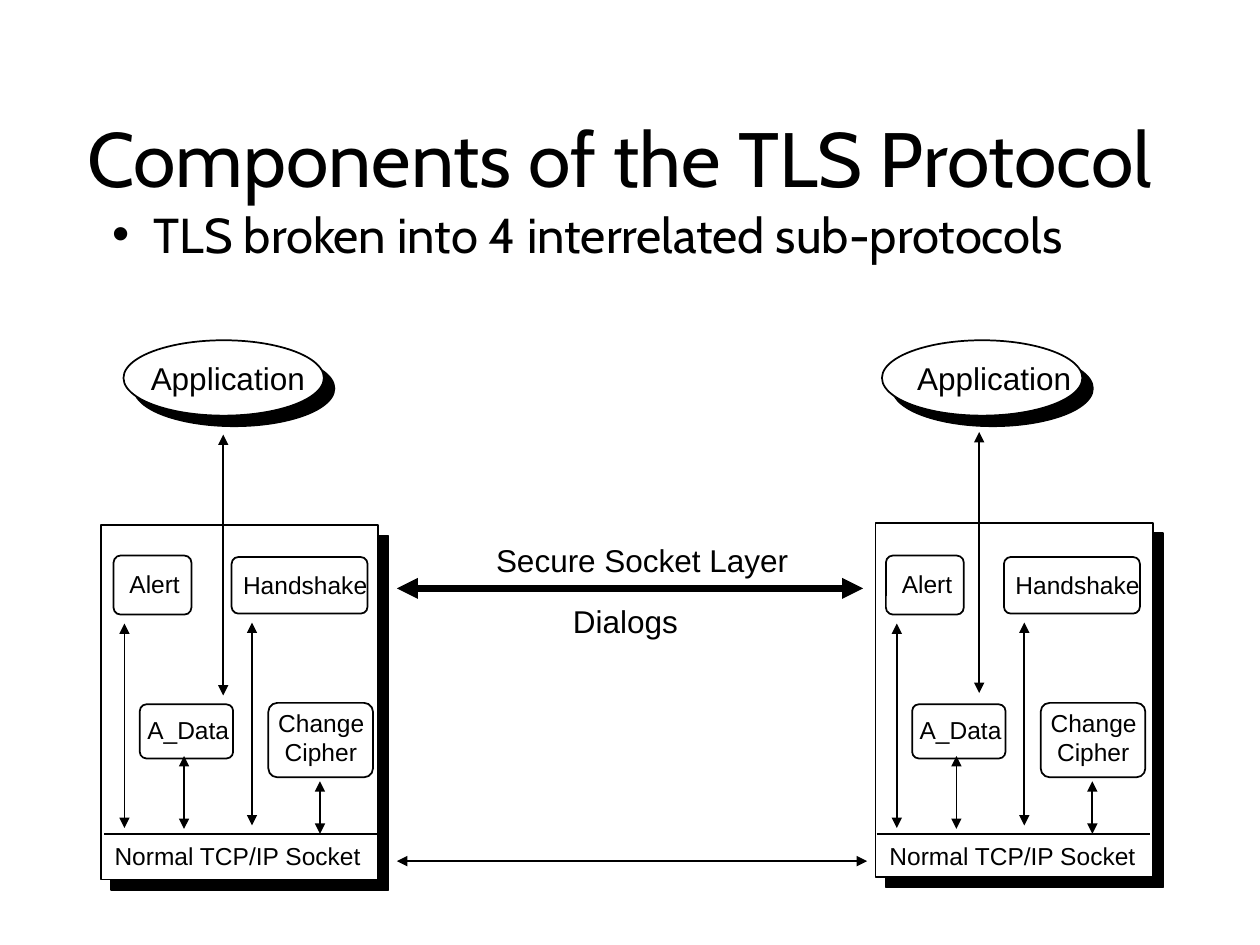
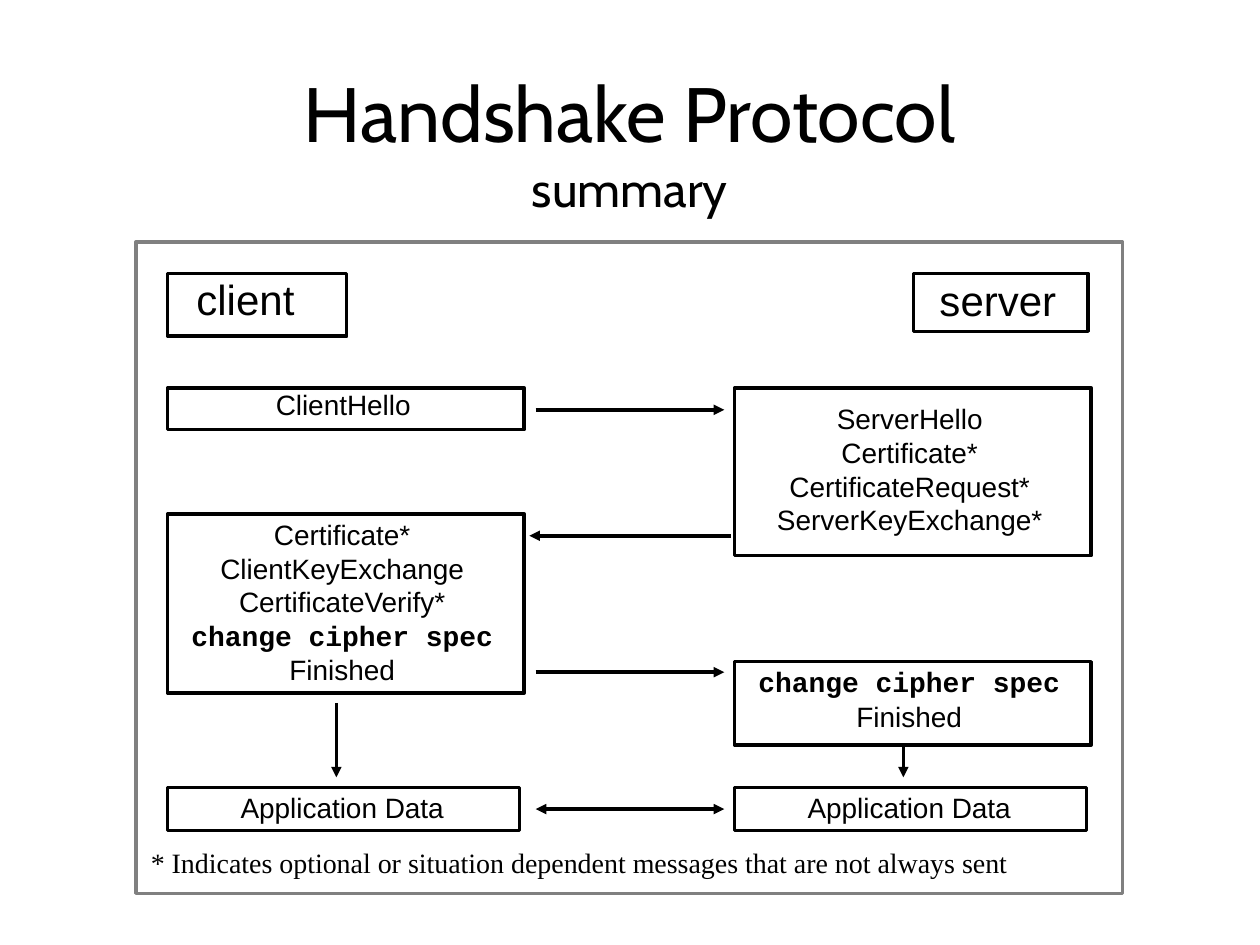
from lxml import etree
from pptx import Presentation
from pptx.dml.color import RGBColor
from pptx.enum.shapes import MSO_CONNECTOR, MSO_SHAPE
from pptx.enum.text import MSO_ANCHOR, PP_ALIGN
from pptx.oxml import parse_xml
from pptx.oxml.ns import nsdecls, qn
from pptx.util import Cm, Pt

COLORS = {"ink": "000000", "paper": "FFFFFF", "frame": "808080"}
TITLE_FONT, LABEL_FONT, CODE_FONT, NOTE_FONT = "Cabin", "Arial", "Courier New", "Times New Roman"
TITLE_SIZE, SUBTITLE_SIZE = 44, 28
CIPHER_MESSAGE = "change cipher spec"


def add_outline(slide, preset, box, weight=1, line="ink", solid=False):
    """Add an outlined shape; a solid one is filled and casts a hard shadow."""
    shape = slide.shapes.add_shape(preset, *[Cm(v) for v in box])
    shape.shadow.inherit = False
    shape.line.color.rgb = RGBColor.from_string(COLORS[line])
    shape.line.width = Pt(weight)
    if preset == MSO_SHAPE.ROUNDED_RECTANGLE:
        shape.adjustments[0] = 0.12
    if not solid:
        shape.fill.background()
        return
    shape.fill.solid()
    shape.fill.fore_color.rgb = RGBColor.from_string(COLORS["paper"])
    shape._element.spPr.find(qn("a:effectLst")).append(parse_xml(
        f'<a:outerShdw {nsdecls("a")} dist="{Pt(8.5)}" dir="2700000" algn="ctr" rotWithShape="0">'
        f'<a:srgbClr val="{COLORS["ink"]}"/></a:outerShdw>'))


def add_text(slide, box, text, size, font=LABEL_FONT, align=PP_ALIGN.LEFT,
             anchor=MSO_ANCHOR.TOP, spacing=0.93):
    frame = slide.shapes.add_textbox(*[Cm(v) for v in box]).text_frame
    frame.word_wrap = True
    frame.vertical_anchor = anchor
    frame.text = text
    frame.paragraphs[0].line_spacing = spacing
    for paragraph in frame.paragraphs:
        paragraph.alignment = align
        for run in paragraph.runs:
            is_code = run.text == CIPHER_MESSAGE
            run.font.name = CODE_FONT if is_code else font
            run.font.bold = is_code
            run.font.size = Pt(size)
            run.font.color.rgb = RGBColor.from_string(COLORS["ink"])
    return frame


prs = Presentation()
prs.slide_width, prs.slide_height = Cm(25.4), Cm(19.05)
components = prs.slides.add_slide(prs.slide_layouts[6])
handshake = prs.slides.add_slide(prs.slide_layouts[6])

# Slide 1: the same protocol stack on both sides of the connection
add_text(components, (1.07, 0.25, 22.86, 3.96), "Components of the TLS Protocol", TITLE_SIZE,
         TITLE_FONT, PP_ALIGN.CENTER, MSO_ANCHOR.BOTTOM, 1)
summary = add_text(components, (2.01, 3.99, 22.02, 2.62),
                   "TLS broken into 4 interrelated sub-protocols", SUBTITLE_SIZE, TITLE_FONT, spacing=1)
bullet_format = summary.paragraphs[0]._p.get_or_add_pPr()
bullet_format.set("marL", str(Cm(0.84)))
bullet_format.set("indent", str(-Cm(0.84)))
etree.SubElement(bullet_format, qn("a:buFont")).set("typeface", LABEL_FONT)
etree.SubElement(bullet_format, qn("a:buChar")).set("char", "•")

sub_protocols = [
    (2.29, 11.2, 1.57, 1.19),
    (4.67, 11.23, 2.74, 1.14),
    (2.82, 14.2, 1.88, 1.09),
    (5.41, 14.17, 2.11, 1.5),
]
sub_protocol_labels = [
    ("Alert", 2.36, 11.39, 1.78),
    ("Handshake", 4.65, 11.41, 4.01),
    ("A_Data", 2.72, 14.35, 2.69),
    ("Change", 5.36, 14.2, 2.77),
    ("Cipher", 5.49, 14.78, 2.39),
]
socket_links = [(2.51, 12.57, 16.69), (5.08, 12.55, 16.64), (3.71, 15.24, 16.71), (6.45, 15.75, 16.81)]

# Each line: slide, start x, start y, end x, end y, weight, arrowheads
lines = [
    (components, 8, 11.86, 17.4, 11.86, 4, "both"),
    (components, 8, 17.36, 17.48, 17.36, 1, "both"),
    (handshake, 10.8, 8.26, 14.6, 8.26, 2, "end"),
    (handshake, 14.73, 10.8, 10.67, 10.8, 2, "end"),
    (handshake, 10.8, 13.55, 14.6, 13.55, 2, "end"),
    (handshake, 10.8, 16.31, 14.6, 16.31, 2, "both"),
    (handshake, 6.78, 14.17, 6.78, 15.67, 2, "end"),
    (handshake, 18.21, 15.04, 18.21, 15.67, 2, "end"),
]

# Each side: shift of the inner parts, application, its label, panel, panel top, application link
sides = [
    (0, 2.49, 2.79, 2.03, 10.59, 4.5, 8.76),
    (15.57, 17.78, 18.24, 17.65, 10.54, 19.74, 8.71),
]
for shift, app_x, app_label_x, panel_x, panel_y, app_link_x, app_link_y in sides:
    add_outline(components, MSO_SHAPE.OVAL, (app_x, 6.86, 4.04, 1.52), solid=True)
    add_text(components, (app_label_x, 7.19, 4.04, 0.97), "Application", 18)
    add_outline(components, MSO_SHAPE.RECTANGLE, (panel_x, panel_y, 5.59, 7.14), solid=True)
    add_text(components, (panel_x + 0.03, 16.88, 7.14, 0.79), "Normal TCP/IP Socket", 14)
    for x, y, width, height in sub_protocols:
        add_outline(components, MSO_SHAPE.ROUNDED_RECTANGLE, (x + shift, y, width, height))
    for label, x, y, width in sub_protocol_labels:
        add_text(components, (x + shift, y, width, 0.79), label, 14)
    for x, top, bottom in socket_links:
        lines.append((components, x + shift, top, x + shift, bottom, 1, "both"))
    lines.append((components, app_link_x, app_link_y, app_link_x, app_link_y + 5.26, 1, "both"))
    lines.append((components, 2.1 + shift, 16.81, 7.62 + shift, 16.81, 1, "none"))

add_text(components, (9.75, 10.85, 7.04, 0.97), "Secure Socket Layer", 18)
add_text(components, (11.3, 12.07, 3.35, 0.97), "Dialogs", 18)

# Slide 2: messages between client and server
heading = add_text(handshake, (1.9, 1.19, 21.59, 3.33), "Handshake Protocol\vsummary", TITLE_SIZE,
                   TITLE_FONT, PP_ALIGN.CENTER, MSO_ANCHOR.MIDDLE, 1)
heading.paragraphs[0].runs[1].font.size = Pt(SUBTITLE_SIZE)
add_outline(handshake, MSO_SHAPE.RECTANGLE, (2.74, 4.88, 19.89, 13.13), 2, "frame")

CLIENT_X, SERVER_X = 3.38, 14.81
# Each step: outline box, label box, size, message lines
steps = [
    ((CLIENT_X, 5.51, 3.61, 1.27), (3.71, 5.49, 3.2, 1.19), 24, ["client"]),
    ((18.42, 5.51, 3.51, 1.17), (18.69, 5.51, 3.2, 1.19), 24, ["server"]),
    ((CLIENT_X, 7.82, 7.19, 0.84), (5.31, 7.75, 3.6, 0.89), 16, ["ClientHello"]),
    ((SERVER_X, 7.82, 7.19, 3.38), (14.84, 8.03, 7, 2.92), 16,
     ["ServerHello", "Certificate*", "CertificateRequest*", "ServerKeyExchange*"]),
    ((CLIENT_X, 10.36, 7.19, 3.61), (3.4, 10.36, 7, 3.61), 16,
     ["Certificate*", "ClientKeyExchange", "CertificateVerify*", CIPHER_MESSAGE, "Finished"]),
    ((SERVER_X, 13.34, 7.19, 1.68), (14.83, 13.34, 7, 1.55), 16, [CIPHER_MESSAGE, "Finished"]),
]
for column_x in (CLIENT_X, SERVER_X):
    steps.append(((column_x, 15.88, 7.09, 0.86), (column_x + 1.22, 15.88, 5, 0.89), 16,
                  ["Application Data"]))
for outline_box, label_box, size, messages in steps:
    add_outline(handshake, MSO_SHAPE.RECTANGLE, outline_box, 2)
    add_text(handshake, label_box, "\n".join(messages), size,
             align=PP_ALIGN.CENTER if len(messages) > 1 else PP_ALIGN.LEFT)
add_text(handshake, (2.79, 16.99, 18.5, 0.91),
         "* Indicates optional or situation dependent messages that are not always sent",
         16, NOTE_FONT)

# Lines and arrows of both slides
arrowheads = {"none": [], "end": ["a:tailEnd"], "both": ["a:headEnd", "a:tailEnd"]}
for slide, x1, y1, x2, y2, weight, heads in lines:
    link = slide.shapes.add_connector(MSO_CONNECTOR.STRAIGHT, Cm(x1), Cm(y1), Cm(x2), Cm(y2))
    link.line.color.rgb = RGBColor.from_string(COLORS["ink"])
    link.line.width = Pt(weight)
    for head in arrowheads[heads]:
        etree.SubElement(link.line._get_or_add_ln(), qn(head)).set("type", "triangle")
    etree.SubElement(link._element.spPr, qn("a:effectLst"))

prs.save("out.pptx")
